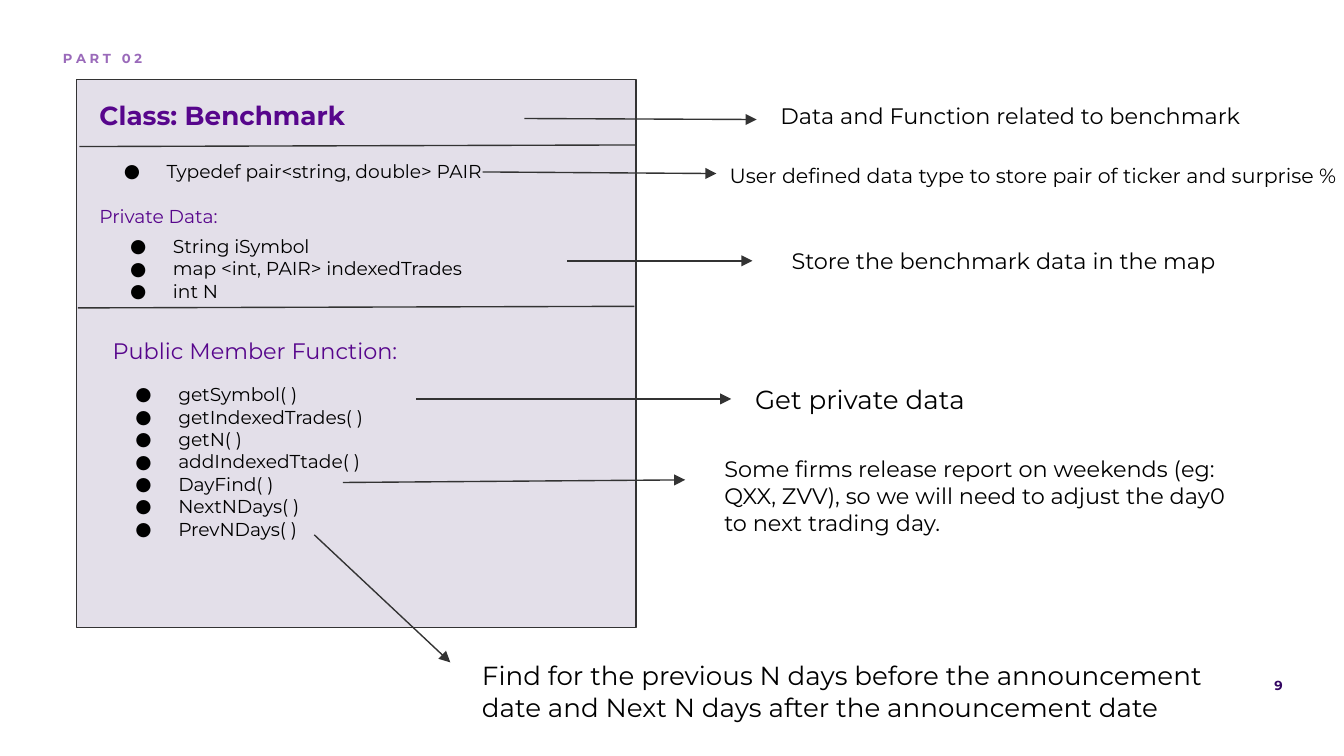
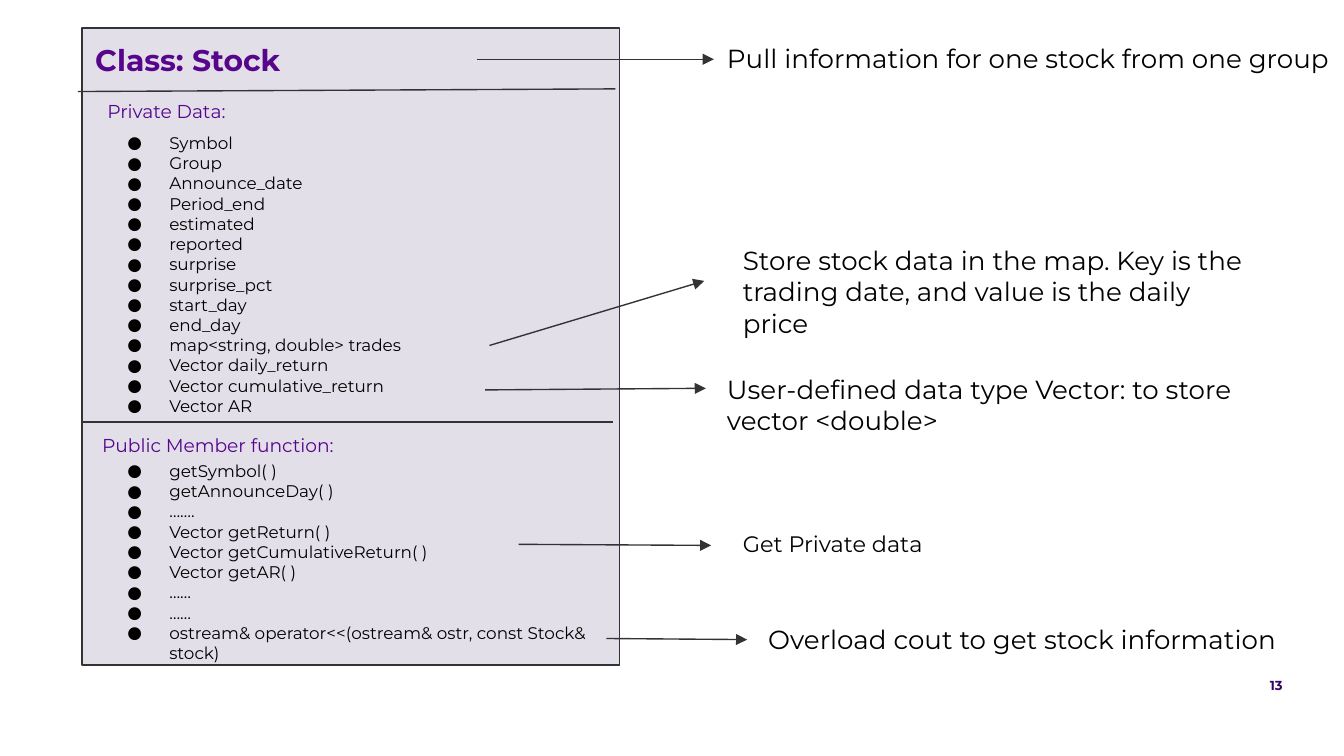
from dataclasses import dataclass

from lxml import etree
from pptx import Presentation
from pptx.dml.color import RGBColor
from pptx.enum.shapes import MSO_CONNECTOR, MSO_SHAPE
from pptx.enum.text import MSO_ANCHOR, PP_ALIGN
from pptx.oxml.ns import qn
from pptx.util import Cm, Pt

STRAIGHT = MSO_CONNECTOR.STRAIGHT
RECTANGLE = MSO_SHAPE.RECTANGLE
TOP = MSO_ANCHOR.TOP
LEFT, RIGHT = PP_ALIGN.LEFT, PP_ALIGN.RIGHT
TITLE_ONLY = 5


@dataclass(frozen=True)
class Theme:
    font: str = "Montserrat"
    black: str = "000000"
    line: str = "333333"
    card: str = "E3DFE9"
    heading: str = "57068C"
    label: str = "9A6ABA"
    number: str = "330662"
    caption_size: int = 7
    line_width: float = 0.75
    inset: float = 0.25
    indent: float = 1.27


THEME = Theme()


@dataclass(frozen=True)
class Box:
    left: float
    top: float
    width: float
    height: float

    def inside(self, parent):
        return Box(parent.left + self.left, parent.top + self.top, self.width, self.height)


@dataclass(frozen=True)
class Section:
    box: Box
    size: int
    bullets: tuple = ()
    heading: str = ""


@dataclass(frozen=True)
class Note:
    text: str
    size: int
    box: Box
    start: tuple
    end: tuple


@dataclass(frozen=True)
class ClassSlide:
    title: str
    title_size: int
    title_box: Box
    card: Box
    dividers: tuple
    sections: tuple
    notes: tuple
    number: str
    hang: float
    label: str = ""


NUMBER_BOX = Box(12.83, 12.65, 11.66, 0.86)
LABEL_BOX = Box(0.94, 0.81, 6.76, 0.86)

BENCHMARK = ClassSlide(
    title="Class: Benchmark",
    title_size=14,
    title_box=Box(0.18, 0.13, 8.26, 1.12),
    card=Box(1.45, 1.5, 10.57, 10.36),
    dividers=(((0.05, 1.27), (10.56, 1.24)), ((0.02, 4.32), (10.54, 4.29))),
    sections=(
        Section(Box(0.18, 1.27, 8.46, 1.8), 10,
                ("Typedef pair<string, double> PAIR",), "Private Data:"),
        Section(Box(0.3, 2.69, 9.7, 1.81), 10,
                ("String iSymbol", "map <int, PAIR> indexedTrades", "int N")),
        Section(Box(0.43, 4.62, 9.7, 1.02), 12, heading="Public Member Function:"),
        Section(Box(0.4, 5.49, 9.47, 4.37), 10,
                ("getSymbol( )", "getIndexedTrades( )", "getN( )", "addIndexedTtade( )",
                 "DayFind( )", "NextNDays( )", "PrevNDays( )")),
    ),
    notes=(
        Note("Data and Function related to benchmark", 12,
             Box(13.05, 0.18, 17.73, 1.02), (8.46, 0.74), (12.85, 0.76)),
        Note("User defined data type to store pair of ticker and surprise %", 11,
             Box(12.09, 1.34, 12.1, 0.99), (7.67, 1.75), (12.09, 1.78)),
        Note("Store the benchmark data in the map", 12,
             Box(13.26, 2.92, 10.26, 1.02), (9.27, 3.43), (12.77, 3.43)),
        Note("Get private data", 14,
             Box(12.57, 5.49, 17.73, 1.12), (6.42, 6.04), (12.37, 6.04)),
        Note("Some firms release report on weekends (eg: QXX, ZVV), so we will need "
             "to adjust the day0 to next trading day.", 12,
             Box(11.99, 6.86, 10.4, 2.64), (5.03, 7.62), (11.5, 7.57)),
        Note("Find for the previous N days before the announcement date and "
             "Next N days after the announcement date", 14,
             Box(7.41, 10.72, 14.88, 1.7), (4.49, 8.61), (7.06, 11.02)),
    ),
    number="9",
    hang=0.81,
    label="P A R T   0 2",
)

STOCK = ClassSlide(
    title="Class: Stock",
    title_size=16,
    title_box=Box(0, 0, 8.26, 1.19),
    card=Box(1.55, 0.53, 10.16, 12.04),
    dividers=(((-0.08, 1.2), (10.08, 1.15)), ((0, 7.45), (10.03, 7.45))),
    sections=(
        Section(Box(0.23, 1.15, 9.55, 0.94), 10, heading="Private Data:"),
        Section(Box(0.13, 1.73, 9.4, 5.89), 9,
                ("Symbol", "Group", "Announce_date", "Period_end", "estimated", "reported",
                 "surprise", "surprise_pct", "start_day", "end_day",
                 "map<string, double> trades", "Vector daily_return",
                 "Vector cumulative_return", "Vector AR")),
        Section(Box(0.13, 7.45, 6.68, 0.94), 10, heading="Public Member function:"),
        Section(Box(0.13, 7.93, 9.78, 4.37), 9,
                ("getSymbol( )", "getAnnounceDay( )", "…….", "Vector getReturn( )",
                 "Vector getCumulativeReturn( )", "Vector getAR( )", "……", "……",
                 "ostream& operator<<(ostream& ostr, const Stock& stock)")),
    ),
    notes=(
        Note("Pull information for one stock from one group", 14,
             Box(11.94, 0.03, 12, 1.12), (7.47, 0.59), (11.94, 0.59)),
        Note("Store stock data in the map. Key is the trading date, and value is "
             "the daily price", 14,
             Box(12.24, 3.84, 10.16, 2.31), (7.7, 6), (11.76, 4.78)),
        Note("User-defined data type Vector: to store\nvector <double>", 14,
             Box(11.94, 6.28, 17.73, 1.7), (7.62, 6.84), (11.79, 6.81)),
        Note("Get Private data", 12,
             Box(12.24, 9.25, 9.78, 1.02), (8.25, 9.76), (11.89, 9.78)),
        Note("Overload cout to get stock information", 14,
             Box(12.72, 11, 17.73, 1.12), (9.91, 11.54), (12.57, 11.56)),
    ),
    number="13",
    hang=0.79,
)


def lengths(box):
    return Cm(box.left), Cm(box.top), Cm(box.width), Cm(box.height)


def color(value):
    return RGBColor.from_string(value)


def style_paragraph(paragraph, size, tint, bold=False, align=LEFT):
    paragraph.alignment = align
    for run in paragraph.runs:
        run.font.name = THEME.font
        run.font.size = Pt(size)
        run.font.bold = bold
        run.font.color.rgb = color(tint)


def fill_text(shape, text, size, tint, bold=False, align=LEFT):
    frame = shape.text_frame
    frame.word_wrap = True
    frame.vertical_anchor = TOP
    frame.margin_left = frame.margin_right = Cm(THEME.inset)
    frame.margin_top = frame.margin_bottom = Cm(THEME.inset)
    frame.text = text
    for paragraph in frame.paragraphs:
        style_paragraph(paragraph, size, tint, bold, align)


def add_text(slide, box, text, size, tint, bold=False, align=LEFT):
    shape = slide.shapes.add_textbox(*lengths(box))
    fill_text(shape, text, size, tint, bold, align)
    return shape


def add_bullet(paragraph, hang):
    properties = paragraph._p.get_or_add_pPr()
    properties.set("marL", str(Cm(THEME.indent)))
    properties.set("indent", str(-Cm(hang)))
    bullet_color = etree.SubElement(properties, qn("a:buClr"))
    etree.SubElement(bullet_color, qn("a:srgbClr"), val=THEME.black)
    etree.SubElement(properties, qn("a:buFont"), typeface=THEME.font)
    etree.SubElement(properties, qn("a:buChar"), char="●")


def add_line(slide, card, start, end, arrow=False):
    points = [Cm(value) for x, y in (start, end) for value in (card.left + x, card.top + y)]
    connector = slide.shapes.add_connector(STRAIGHT, *points)
    connector.line.color.rgb = color(THEME.line)
    connector.line.width = Pt(THEME.line_width)
    if arrow:
        etree.SubElement(connector.line._get_or_add_ln(), qn("a:tailEnd"), type="triangle")
    etree.SubElement(connector.element.spPr, qn("a:effectLst"))


def add_section(slide, card, section, hang):
    lines = section.bullets + ((section.heading,) if section.heading else ())
    shape = add_text(slide, section.box.inside(card), "\n".join(lines),
                     section.size, THEME.black)
    paragraphs = shape.text_frame.paragraphs
    for paragraph in paragraphs[:len(section.bullets)]:
        add_bullet(paragraph, hang)
    if section.heading:
        style_paragraph(paragraphs[-1], section.size, THEME.heading)
        if section.bullets:
            paragraphs[-1].space_before = Pt(section.size * 1.22)


def add_card(slide, content):
    card = content.card
    panel = slide.shapes.add_shape(RECTANGLE, *lengths(card))
    panel.shadow.inherit = False
    panel.fill.solid()
    panel.fill.fore_color.rgb = color(THEME.card)
    panel.line.color.rgb = color(THEME.line)
    panel.line.width = Pt(THEME.line_width)

    title = slide.shapes.title
    title.left, title.top, title.width, title.height = lengths(content.title_box.inside(card))
    fill_text(title, content.title, content.title_size, THEME.heading, bold=True)
    panel.element.addnext(title.element)

    for start, end in content.dividers:
        add_line(slide, card, start, end)
    for section in content.sections:
        add_section(slide, card, section, content.hang)


def add_notes(slide, card, notes):
    for note in notes:
        add_line(slide, card, note.start, note.end, arrow=True)
        add_text(slide, note.box.inside(card), note.text, note.size, THEME.black)


def add_captions(slide, content):
    add_text(slide, NUMBER_BOX, content.number, THEME.caption_size, THEME.number,
             bold=True, align=RIGHT)
    if content.label:
        add_text(slide, LABEL_BOX, content.label, THEME.caption_size, THEME.label, bold=True)


def add_class_slide(presentation, content):
    slide = presentation.slides.add_slide(presentation.slide_layouts[TITLE_ONLY])
    add_captions(slide, content)
    add_card(slide, content)
    add_notes(slide, content.card, content.notes)


def main():
    presentation = Presentation()
    presentation.slide_width = Cm(25.4)
    presentation.slide_height = Cm(14.29)
    for content in (BENCHMARK, STOCK):
        add_class_slide(presentation, content)
    presentation.save("out.pptx")


if __name__ == "__main__":
    main()
